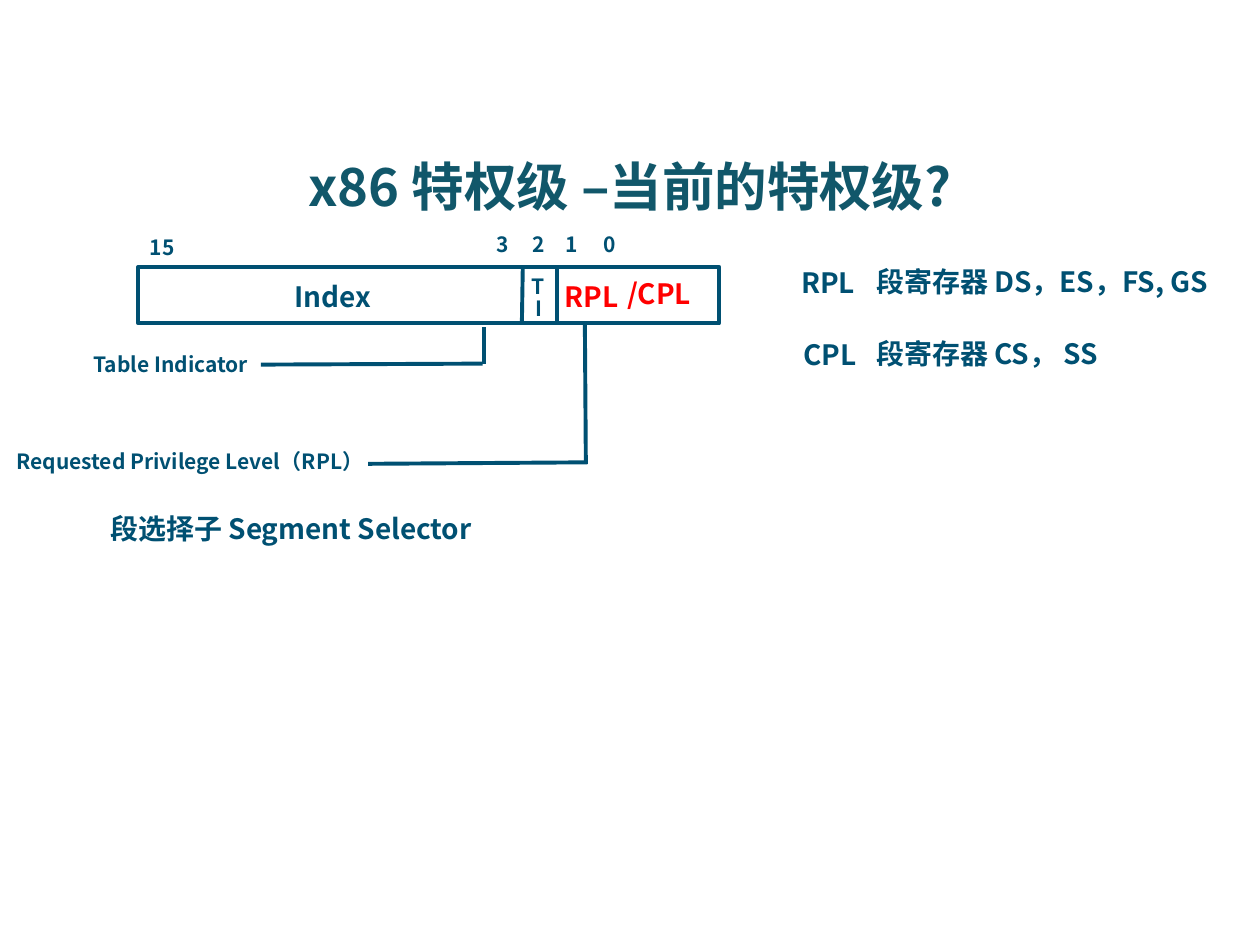
from dataclasses import dataclass

from lxml import etree
from pptx import Presentation
from pptx.dml.color import RGBColor
from pptx.enum.shapes import MSO_CONNECTOR, MSO_SHAPE
from pptx.enum.text import MSO_ANCHOR, MSO_AUTO_SIZE, PP_ALIGN
from pptx.oxml.ns import qn
from pptx.util import Cm, Pt

STRAIGHT = MSO_CONNECTOR.STRAIGHT
RECTANGLE = MSO_SHAPE.RECTANGLE
TOP = MSO_ANCHOR.TOP
NO_AUTOFIT = MSO_AUTO_SIZE.NONE
CENTER = PP_ALIGN.CENTER
TITLE_ONLY = 5


@dataclass(frozen=True)
class Theme:
    font: str = "Noto Sans CJK SC"
    title: RGBColor = RGBColor(0x11, 0x57, 0x6A)
    ink: RGBColor = RGBColor(0x00, 0x50, 0x72)
    accent: RGBColor = RGBColor(0xFF, 0x00, 0x00)
    title_size: int = 30
    body_size: int = 16
    small_size: int = 12
    line_width: float = 2.25


THEME = Theme()


@dataclass(frozen=True)
class Label:
    text: str
    left: float
    top: float
    width: float
    size: int = THEME.body_size
    color: RGBColor = THEME.ink


@dataclass(frozen=True)
class Line:
    x1: float
    y1: float
    x2: float
    y2: float


SMALL = THEME.small_size
RED = THEME.accent

REGISTERS = [
    Label("RPL", 15.9, 5.23, 1.8),
    Label("段寄存器 DS，ES，FS, GS", 17.42, 5.21, 7.52),
    Label("CPL", 15.95, 6.68, 1.8),
    Label("段寄存器 CS， SS", 17.42, 6.65, 5.72),
]
BIT_NUMBERS = [Label("15", 2.77, 4.6, 1.24, SMALL)] + [
    Label(bit, left, 4.55, 0.74, SMALL)
    for bit, left in zip("3210", (9.75, 10.49, 11.15, 11.91))
]
FIELDS = [
    Label("Index", 5.69, 5.51, 3.53),
    Label("T", 10.46, 5.38, 0.81, SMALL),
    Label("I", 10.54, 5.84, 0.81, SMALL),
    Label("RPL", 11.13, 5.51, 1.8, color=RED),
    Label("/CPL", 12.4, 5.46, 1.93, color=RED),
]
CAPTIONS = [
    Label("Table Indicator", 1.63, 6.96, 4.32, SMALL),
    Label("Requested Privilege Level（RPL）", 0.08, 8.92, 13.89, SMALL),
    Label("段选择子 Segment Selector", 1.98, 10.19, 9.27),
]
DIVIDERS = [Line(10.54, 5.36, 10.52, 6.53), Line(11.23, 5.41, 11.23, 6.55)]
LEADERS = [
    Line(9.75, 6.6, 9.75, 7.34),
    Line(9.73, 7.33, 5.26, 7.35),
    Line(11.79, 6.5, 11.81, 9.35),
    Line(11.84, 9.32, 7.42, 9.35),
]


def write(tf, text: str, size: int, color: RGBColor):
    """Fill a text frame with one bold run, using the font for Latin and CJK."""
    for name, value in {"word_wrap": True, "auto_size": NO_AUTOFIT,
                        "vertical_anchor": TOP}.items():
        setattr(tf, name, value)
    p = tf.paragraphs[0]
    r = p.add_run()
    r.text = text
    for name, value in {"name": THEME.font, "size": Pt(size), "bold": True}.items():
        setattr(r.font, name, value)
    r.font.color.rgb = color
    ea = etree.SubElement(r._r.get_or_add_rPr(), qn("a:ea"))
    ea.set("typeface", THEME.font)
    return p


def add_title(s, text: str) -> None:
    title = s.shapes.title
    for name, value in {"left": Cm(0), "top": Cm(2.97),
                        "width": Cm(25.4), "height": Cm(1.55)}.items():
        setattr(title, name, value)
    p = write(title.text_frame, text, THEME.title_size, THEME.title)
    p.alignment = CENTER


def add_label(s, label: Label) -> None:
    height = 0.94 if label.size == THEME.body_size else 0.76
    box = s.shapes.add_textbox(
        Cm(label.left), Cm(label.top), Cm(label.width), Cm(height))
    write(box.text_frame, label.text, label.size, label.color)


def style_line(line) -> None:
    line.color.rgb = THEME.ink
    line.width = Pt(THEME.line_width)


def add_line(s, line: Line) -> None:
    connector = s.shapes.add_connector(
        STRAIGHT, Cm(line.x1), Cm(line.y1), Cm(line.x2), Cm(line.y2))
    style_line(connector.line)
    etree.SubElement(connector._element.spPr, qn("a:effectLst"))


def add_selector_frame(s) -> None:
    frame = s.shapes.add_shape(RECTANGLE, Cm(2.79), Cm(5.38), Cm(11.71), Cm(1.14))
    frame.shadow.inherit = False
    frame.fill.background()
    style_line(frame.line)


def main() -> None:
    prs = Presentation()
    prs.slide_width, prs.slide_height = Cm(25.4), Cm(19.05)
    s = prs.slides.add_slide(prs.slide_layouts[TITLE_ONLY])
    add_title(s, "x86 特权级 –当前的特权级?")
    add_selector_frame(s)
    for line in DIVIDERS + LEADERS:
        add_line(s, line)
    for label in REGISTERS + BIT_NUMBERS + FIELDS + CAPTIONS:
        add_label(s, label)
    prs.save("out.pptx")


if __name__ == "__main__":
    main()
